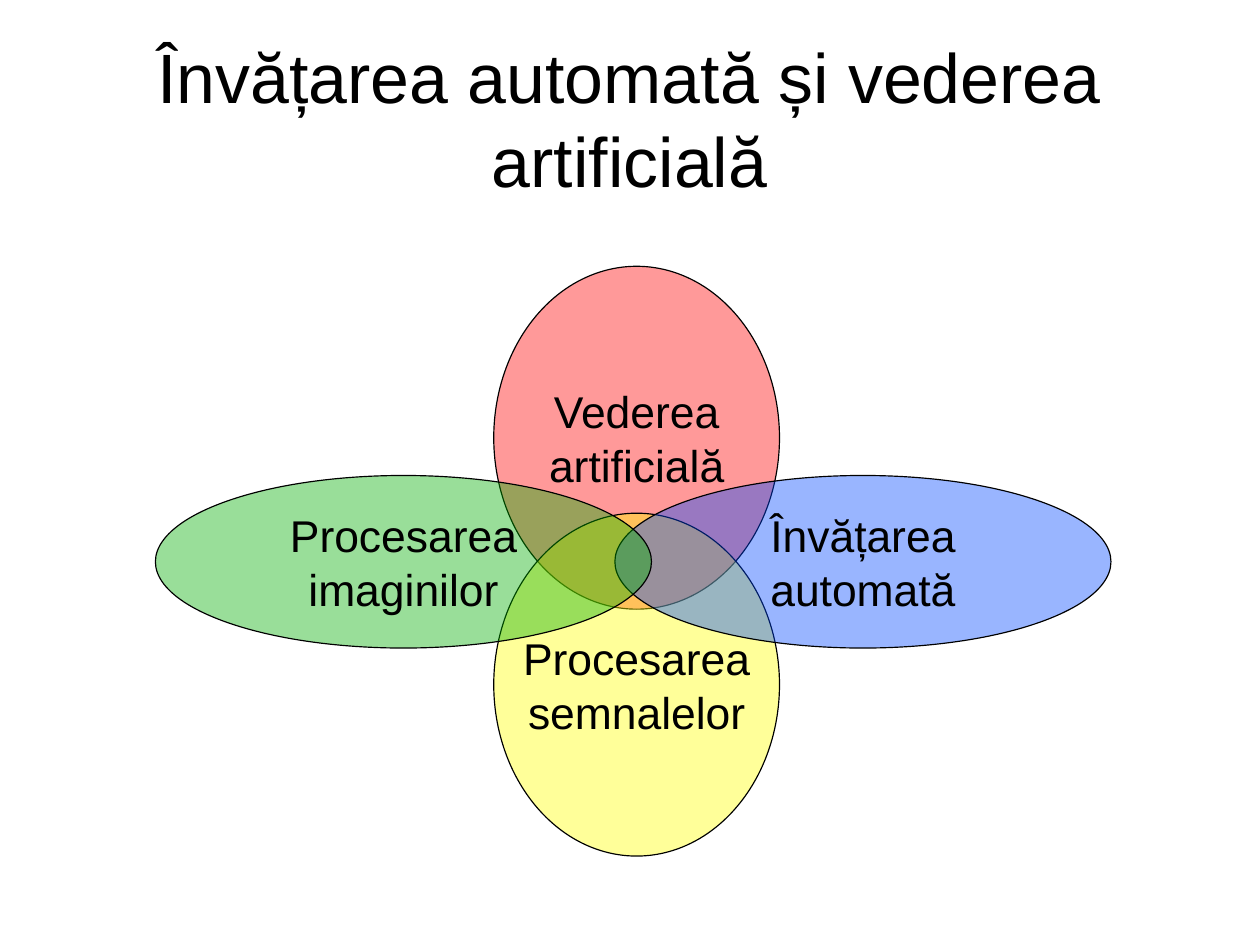
"""Builds a slide with four overlapping ellipses for the fields around computer vision."""
from dataclasses import dataclass

from lxml.etree import SubElement
from pptx import Presentation
from pptx.dml.color import RGBColor
from pptx.enum.shapes import MSO_SHAPE
from pptx.enum.text import MSO_ANCHOR, MSO_AUTO_SIZE, PP_ALIGN
from pptx.oxml.ns import qn
from pptx.util import Inches, Pt


@dataclass(frozen=True)
class Theme:
    font: str = "Arial"
    title_size: int = 44
    label_size: int = 28
    ink: str = "000000"
    vision: str = "FF0000"
    signals: str = "FFFF00"
    learning: str = "0047FF"
    images: str = "00AE00"
    opacity: int = 40
    outline: int = 0


theme = Theme()


def style_text(frame, size):
    frame.vertical_anchor = MSO_ANCHOR.MIDDLE
    for paragraph in frame.paragraphs:
        paragraph.alignment = PP_ALIGN.CENTER
        for run in paragraph.runs:
            run.font.name = theme.font
            run.font.size = Pt(size)
            run.font.color.rgb = RGBColor.from_string(theme.ink)


deck = Presentation()
deck.slide_width = Inches(28 / 2.54)
deck.slide_height = Inches(21 / 2.54)
slide = deck.slides.add_slide(deck.slide_layouts[5])

title = slide.shapes.title
title.left, title.top = Inches(0.55), Inches(0.34)
title.width, title.height = Inches(9.92), Inches(1.37)
heading = title.text_frame
heading.text = "Învățarea automată și vederea artificială"
heading.margin_left = heading.margin_right = heading.margin_top = heading.margin_bottom = 0
heading.word_wrap = True
heading.auto_size = MSO_AUTO_SIZE.NONE
style_text(heading, theme.title_size)

upright, flat = (2.5, 3), (4.34, 1.51)
fields = [
    ("Vederea\nartificială", theme.vision, 4.32, 2.33, upright),
    ("Procesarea\nsemnalelor", theme.signals, 4.32, 4.49, upright),
    ("Învățarea\nautomată", theme.learning, 5.38, 4.16, flat),
    ("Procesarea\nimaginilor", theme.images, 1.36, 4.16, flat),
]
for label, color, left, top, (width, height) in fields:
    field = slide.shapes.add_shape(
        MSO_SHAPE.OVAL, Inches(left), Inches(top), Inches(width), Inches(height)
    )
    field.shadow.inherit = False
    field.fill.solid()
    field.fill.fore_color.rgb = RGBColor.from_string(color)
    fill_color = field.fill._xPr.find(qn("a:solidFill")).find(qn("a:srgbClr"))
    SubElement(fill_color, qn("a:alpha"), val=str(theme.opacity * 1000))
    field.line.color.rgb = RGBColor.from_string(theme.ink)
    field.line.width = Pt(theme.outline)
    field.text_frame.text = label
    field.text_frame.word_wrap = False
    style_text(field.text_frame, theme.label_size)

deck.save("out.pptx")
